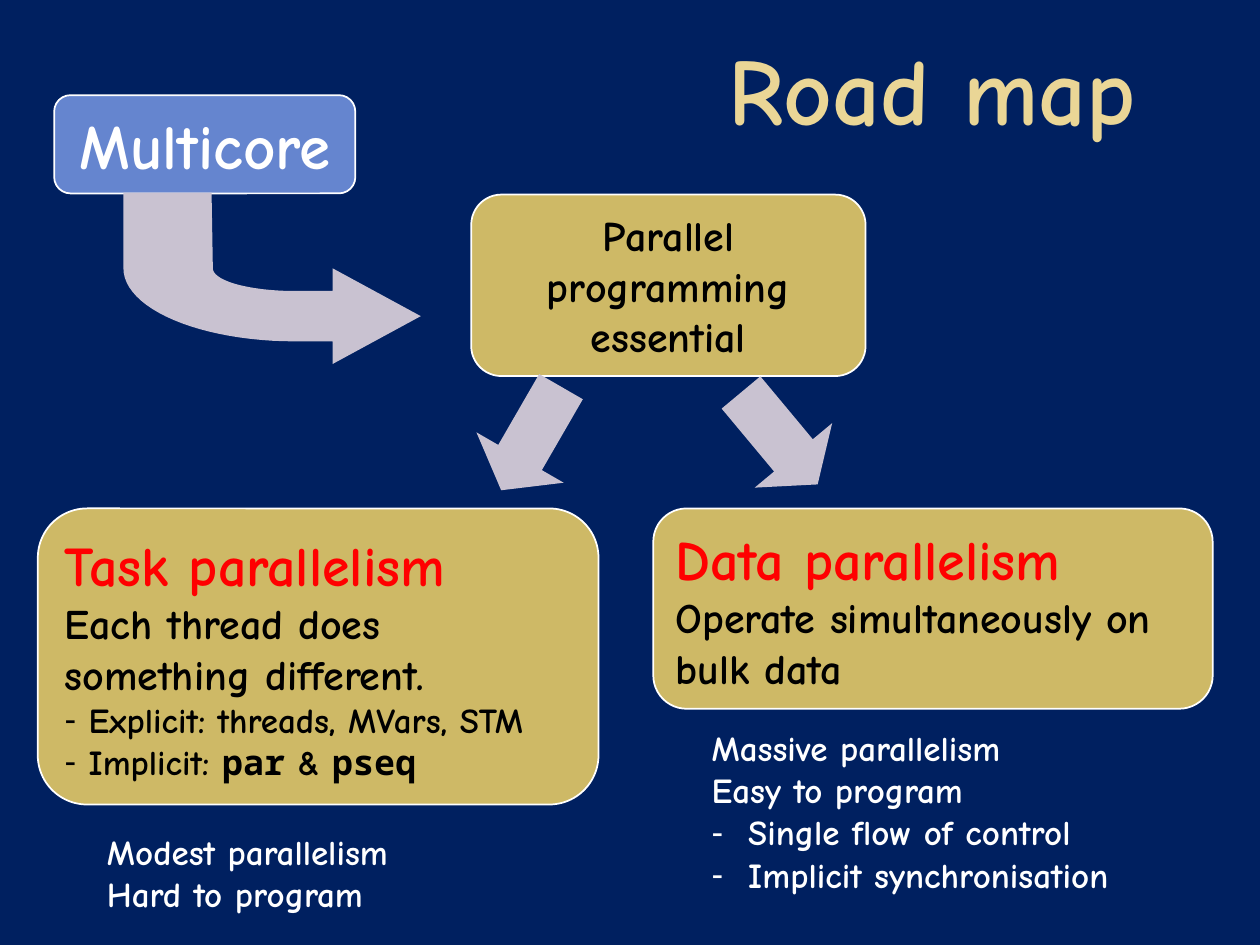
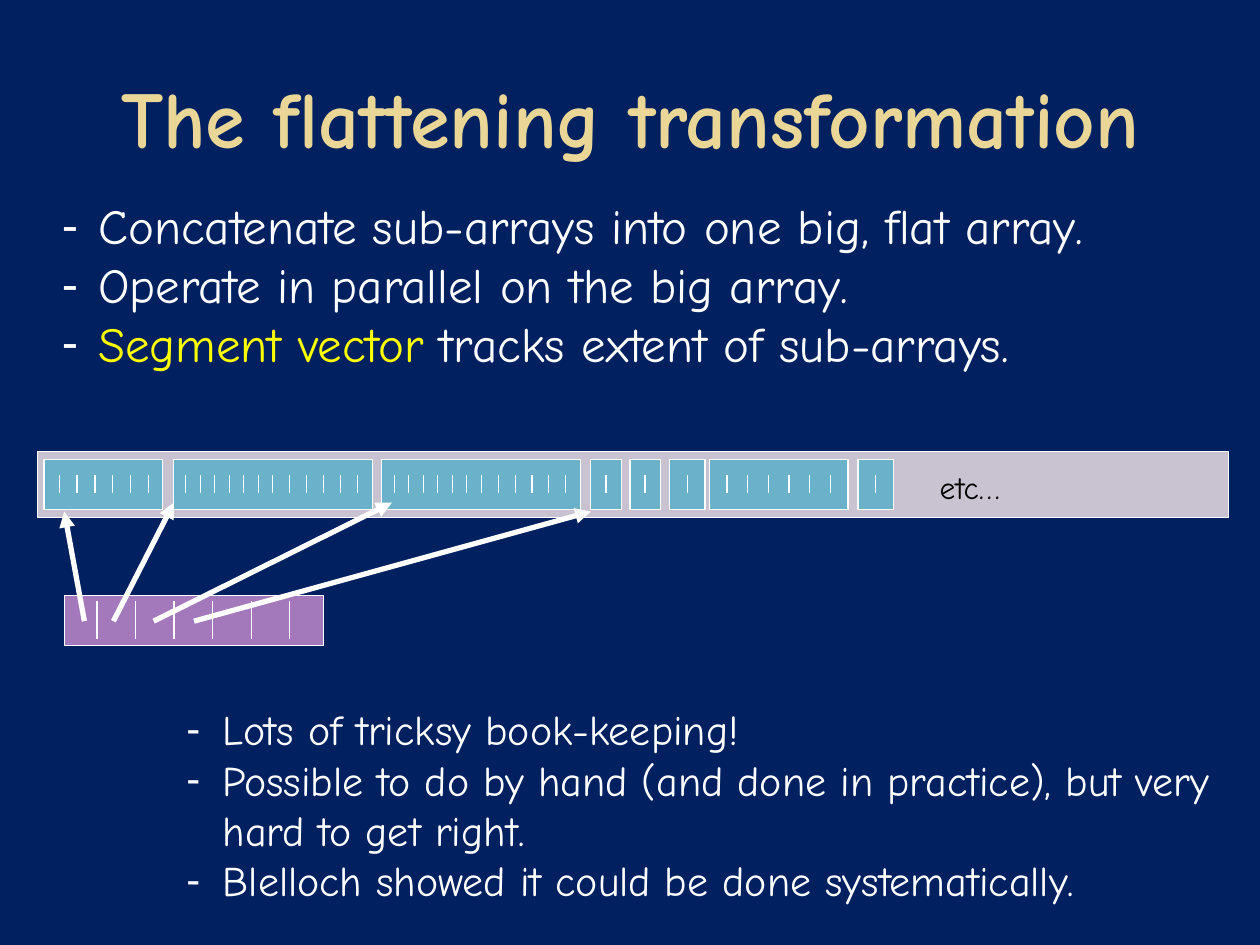
from math import cos, pi, sin

from lxml.etree import SubElement
from pptx import Presentation
from pptx.dml.color import RGBColor
from pptx.enum.shapes import MSO_CONNECTOR, MSO_SHAPE
from pptx.enum.text import MSO_ANCHOR, MSO_AUTO_SIZE, PP_ALIGN
from pptx.oxml.ns import qn
from pptx.util import Inches, Pt

CELL = Inches(0.1)  # the slide is a grid of 100 columns and 75 rows
COLORS = {
    "navy": "002060", "cream": "EAD696", "white": "FFFFFF", "black": "000000",
    "gold": "CEB966", "blue": "6585CF", "grey": "C9C2D1", "red": "FF0000",
    "teal": "6BB1C9", "purple": "A379BB", "yellow": "FFFF00",
}
TEXT_FONT = "Comic Neue"
CODE_FONT = "Noto Sans Mono"
BULLET_FONT = "Arial"
HANG = 2.9


def grid(*cells):
    return [round(cell * CELL) for cell in cells]


def rgb(name):
    return RGBColor.from_string(COLORS[name])


def add_text(frame, text, *, size, color="white", bold=False,
             align=PP_ALIGN.LEFT, hang=0, bullet=False):
    """Add one paragraph; text is a string or a list of (string, run format)."""
    first = frame.paragraphs[0]
    paragraph = frame.add_paragraph() if first.runs else first
    indent, = grid(hang)
    properties = paragraph._p.get_or_add_pPr()
    properties.set("marL", str(indent))
    properties.set("indent", str(-indent))
    if bullet:
        bullet_color = SubElement(properties, qn("a:buClr"))
        SubElement(bullet_color, qn("a:srgbClr")).set("val", COLORS[color])
        SubElement(properties, qn("a:buFont")).set("typeface", BULLET_FONT)
        SubElement(properties, qn("a:buChar")).set("char", "-")
    paragraph.alignment = align
    paragraph.space_before = Pt(0)
    for words, style in [(text, {})] if isinstance(text, str) else text:
        run = paragraph.add_run()
        run.text = words
        run.font.name = style.get("font", TEXT_FONT)
        run.font.size = Pt(size)
        run.font.bold = bold
        run.font.color.rgb = rgb(style.get("color", color))


def add_bullets(frame, items, **style):
    for item in items:
        add_text(frame, item, bullet=True, **style)


def place(placeholder, left, top, width, height):
    placeholder.left, placeholder.top, placeholder.width, placeholder.height = grid(
        left, top, width, height)
    frame = placeholder.text_frame
    frame.auto_size = MSO_AUTO_SIZE.NONE
    return frame


def set_title(slide, text, area, size):
    frame = place(slide.shapes.title, *area)
    frame.vertical_anchor = MSO_ANCHOR.BOTTOM
    frame.margin_top = frame.margin_bottom = 0
    frame.margin_left = frame.margin_right = Inches(0.05)
    add_text(frame, text, size=size, color="cream", bold=True, align=PP_ALIGN.CENTER)


def add_note(slide, *area):
    frame = slide.shapes.add_textbox(*grid(*area)).text_frame
    frame.word_wrap = True
    return frame


def paint(shape, fill, outline=None):
    shape.shadow.inherit = False
    shape.fill.solid()
    shape.fill.fore_color.rgb = rgb(fill)
    if outline:
        shape.line.color.rgb = rgb("white")
        shape.line.width = Pt(outline)
    else:
        shape.line.fill.background()


def add_block(shapes, kind, area, fill, outline=None, rotation=0):
    block = shapes.add_shape(kind, *grid(*area))
    block.rotation = rotation
    paint(block, fill, outline)
    return block


def add_card(slide, area, fill, wrap=True):
    """Add a rounded card and return its text frame."""
    frame = add_block(slide.shapes, MSO_SHAPE.ROUNDED_RECTANGLE, area, fill, 1).text_frame
    frame.word_wrap = wrap
    frame.vertical_anchor = MSO_ANCHOR.MIDDLE
    return frame


def add_line(shapes, start, end, width, arrow=False):
    line = shapes.add_connector(MSO_CONNECTOR.STRAIGHT, *grid(*start, *end))
    line.line.color.rgb = rgb("white")
    line.line.width = Pt(width)
    if arrow:
        SubElement(line.line._get_or_add_ln(), qn("a:tailEnd")).set("type", "triangle")
    SubElement(line._element.spPr, qn("a:effectLst"))


def quarter_arc(center, radii, start, steps=24):
    """Points a quarter turn clockwise on screen from the angle start."""
    return [(center[0] + radii[0] * cos(start + pi / 2 * i / steps),
             center[1] + radii[1] * sin(start + pi / 2 * i / steps))
            for i in range(steps + 1)]


def add_bent_arrow(slide):
    bend = (23.4, 21.3)
    outer = quarter_arc(bend, (13.6, 5.8), pi / 2)
    inner = quarter_arc(bend, (6.5, 1.8), pi / 2)[::-1]
    outline = [(33.4, 25.1), (26.4, 28.9), (26.4, 27.1), *outer,
               (9.8, 15.3), (16.8, 15.3), *inner, (26.4, 23.1), (26.4, 21.3)]
    points = [tuple(grid(*point)) for point in outline]
    builder = slide.shapes.build_freeform(*points[0])
    builder.add_line_segments(points[1:])
    paint(builder.convert_to_shape(), "grey")


def spread(first, last, count):
    return [first + (last - first) * i / (count - 1) for i in range(count)]


def add_array(slide, area, ticks, tick_rows, fill="teal"):
    """Add an array with ticks at the given offsets from its left edge."""
    shapes = slide.shapes.add_group_shape().shapes
    add_block(shapes, MSO_SHAPE.RECTANGLE, area, fill, 0.75)
    for offset in ticks:
        x = area[0] + offset
        add_line(shapes, (x, tick_rows[0]), (x, tick_rows[1]), 0.75)


def build_road_map(deck):
    slide = deck.slides.add_slide(deck.slide_layouts[5])
    set_title(slide, "Road map", (51.9, 1.3, 44.2, 10.2), 54)

    add_text(add_card(slide, (4.3, 7.55, 23.9, 7.8), "blue", wrap=False),
             "Multicore", size=36, bold=True, align=PP_ALIGN.CENTER)
    add_text(add_card(slide, (37.4, 15.45, 31.3, 14.4), "gold"),
             "Parallel programming essential",
             size=24, color="black", bold=True, align=PP_ALIGN.CENTER)

    task = add_card(slide, (3, 40.35, 44.5, 23.5), "gold")
    data = add_card(slide, (51.85, 40.35, 44.4, 15.9), "gold")
    for card, heading, summary in (
            (task, "Task parallelism", "Each thread does something different."),
            (data, "Data parallelism", "Operate simultaneously on bulk data")):
        add_text(card, heading, size=32, color="red", bold=True)
        add_text(card, summary, size=24, color="black", bold=True)
    code = {"font": CODE_FONT}
    add_bullets(task, ["Explicit: threads, MVars, STM",
                       [("Implicit: ", {}), ("par", code), (" & ", {}), ("pseq", code)]],
                size=20, color="black", bold=True, hang=1.9)

    add_bent_arrow(slide)
    for left, angle in ((37.4, 120), (57.1, 50.2)):
        arrow = add_block(slide.shapes, MSO_SHAPE.RIGHT_ARROW,
                          (left, 30.8, 9.5, 8), "grey", rotation=angle)
        arrow.adjustments[1] = 0.375

    task_verdict = add_note(slide, 7.5, 65.4, 25.5, 7.7)
    data_verdict = add_note(slide, 55.5, 57.2, 34.4, 14.5)
    for verdict, lines in (
            (task_verdict, ("Modest parallelism", "Hard to program")),
            (data_verdict, ("Massive parallelism", "Easy to program"))):
        for line in lines:
            add_text(verdict, line, size=20, bold=True)
    add_bullets(data_verdict, ["Single flow of control", "Implicit synchronisation"],
                size=20, bold=True, hang=HANG)


def build_flattening(deck):
    slide = deck.slides.add_slide(deck.slide_layouts[1])
    set_title(slide, "The flattening transformation", (5, 3.1, 90, 10), 46)

    add_block(slide.shapes, MSO_SHAPE.RECTANGLE, (3, 35.85, 94.5, 5.2), "grey", 0.75)
    long_ticks = spread(1, 7.9, 7) + spread(9.25, 14.6, 5)
    sub_arrays = (  # left, width, tick offsets
        (3.5, 9.4, spread(1.2, 8.3, 6)), (13.75, 15.8, long_ticks),
        (30.3, 15.8, long_ticks), (46.85, 2.5, [1.25]), (50, 2.4, [1.2]),
        (53.15, 2.8, [1.4]), (56.3, 11, spread(1.4, 9.6, 6)), (68.1, 2.8, [1.4]),
    )
    for left, width, ticks in sub_arrays:
        add_array(slide, (left, 36.45, width, 4), ticks, (37.7, 39.1))
    add_text(add_note(slide, 73.6, 36.65, 7.5, 4), "etc…", size=18, color="black")

    add_bullets(place(slide.placeholders[1], 3.9, 15.05, 90.2, 15.1), [
        "Concatenate sub-arrays into one big, flat array.",
        "Operate in parallel on the big array.",
        [("Segment vector", {"color": "yellow"}), (" tracks extent of sub-arrays.", {})],
    ], size=28, hang=HANG)

    add_array(slide, (5.1, 47.25, 20.6, 4), spread(2.6, 17.9, 6), (47.7, 50.7), "purple")
    for segment, target in ((6.7, (5.1, 40.6)), (9, (13.8, 39.9)),
                            (12.2, (31.1, 39.9)), (15.4, (46.9, 40.6))):
        add_line(slide.shapes, (segment, 49.3), target, 3, arrow=True)

    add_bullets(add_note(slide, 13.8, 55.35, 86.2, 17.2), [
        "Lots of tricksy book-keeping!",
        "Possible to do by hand (and done in practice), but very hard to get right.",
        "Blelloch showed it could be done systematically.",
    ], size=24, hang=HANG)


def main():
    deck = Presentation()
    deck.slide_width, deck.slide_height = grid(100, 75)
    background = deck.slide_master.background.fill
    background.solid()
    background.fore_color.rgb = rgb("navy")
    build_road_map(deck)
    build_flattening(deck)
    deck.save("out.pptx")


if __name__ == "__main__":
    main()
